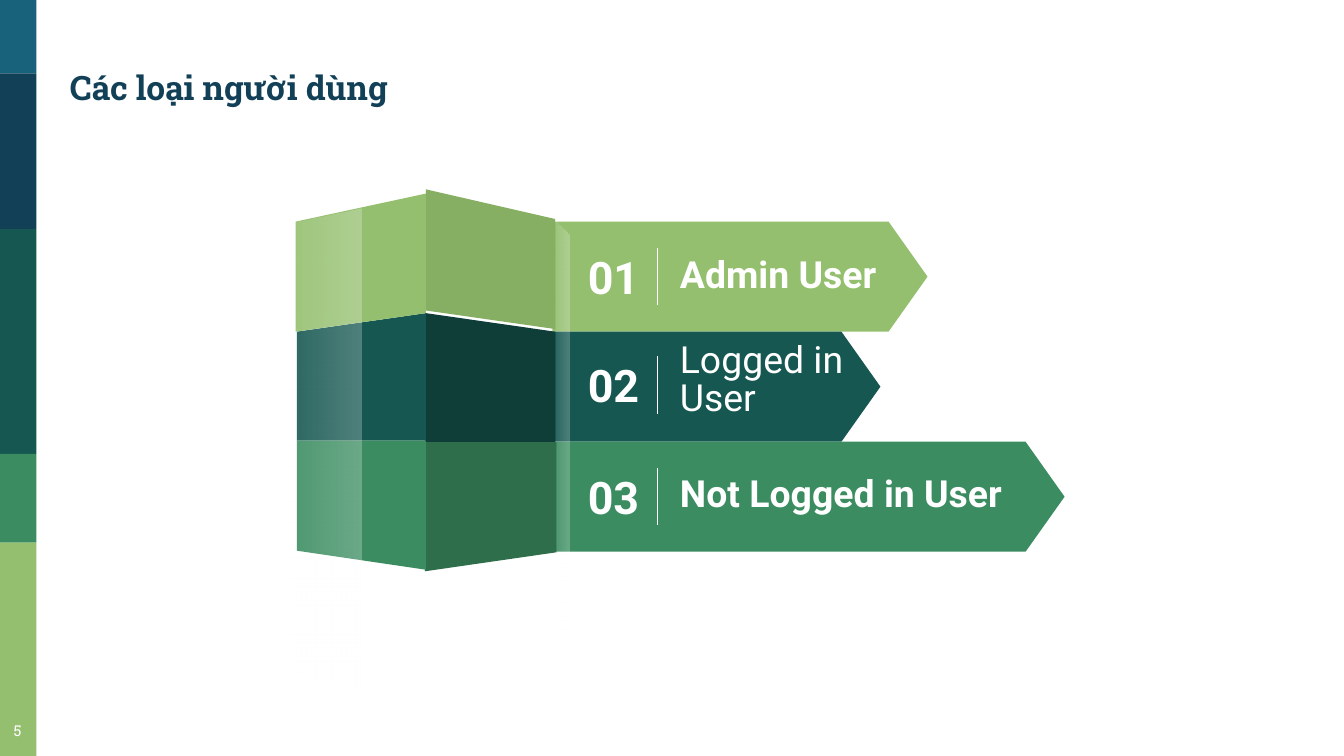
import dataclasses
import pptx
import pptx.dml.color
import pptx.enum.shapes
import pptx.enum.text
import pptx.oxml.ns
import pptx.util
import lxml.etree

Cm = pptx.util.Cm
ALIGN = pptx.enum.text.PP_ALIGN
ANCHOR = pptx.enum.text.MSO_ANCHOR
SHAPES = pptx.enum.shapes.MSO_SHAPE


@dataclasses.dataclass(frozen=True)
class Theme:
    white: str = "FFFFFF"
    blue: str = "18637B"
    navy: str = "124057"
    teal: str = "165751"
    green: str = "3B8D61"
    lime: str = "94BF6E"
    lime_dark: str = "87AF64"
    teal_dark: str = "0F3D38"
    green_dark: str = "2E6E4B"
    head: str = "Roboto Slab"
    body: str = "Roboto"
    title_size: int = 18
    count_size: int = 24
    label_size: int = 20
    page_size: int = 8


def tint(code):
    return pptx.dml.color.RGBColor.from_string(code)


class Deck:
    def __init__(self, theme):
        self.theme = theme
        self.file = pptx.Presentation()
        self.file.slide_width = Cm(25.4)
        self.file.slide_height = Cm(14.29)
        self.slide = self.file.slides.add_slide(self.file.slide_layouts[5])
        self.shapes = self.slide.shapes

    def paint(self, shape, color):
        shape.shadow.inherit = False
        shape.line.fill.background()
        shape.fill.solid()
        shape.fill.fore_color.rgb = tint(color)

    def block(self, kind, left, top, width, height, color):
        shape = self.shapes.add_shape(kind, Cm(left), Cm(top), Cm(width), Cm(height))
        self.paint(shape, color)
        return shape

    def face(self, points, color):
        first, *rest = [(Cm(x), Cm(y)) for x, y in points]
        form = self.shapes.build_freeform(*first, scale=1.0)
        form.add_line_segments(rest, close=True)
        shape = form.convert_to_shape()
        self.paint(shape, color)
        return shape

    def shine(self, points):
        shape = self.face(points, self.theme.white)
        shape.fill.gradient()
        shape.fill.gradient_angle = 0
        for stop, place in zip(shape.fill.gradient_stops, (0, 1)):
            stop.position = place
            stop.color.rgb = tint(self.theme.white)
        # Opacity of each stop, in percent
        nodes = shape.element.spPr.iter(pptx.oxml.ns.qn("a:srgbClr"))
        for node, alpha in zip(nodes, (10, 25)):
            lxml.etree.SubElement(node, pptx.oxml.ns.qn("a:alpha"), val=str(alpha * 1000))

    def rule(self, x, top, length):
        line = self.shapes.add_connector(
            pptx.enum.shapes.MSO_CONNECTOR.STRAIGHT,
            Cm(x), Cm(top), Cm(x), Cm(top + length))
        line.line.color.rgb = tint(self.theme.white)
        line.line.width = pptx.util.Pt(0.75)
        lxml.etree.SubElement(line.element.spPr, pptx.oxml.ns.qn("a:effectLst"))

    def letter(self, shape, words, font, size, color, bold=False,
               align=ALIGN.LEFT, anchor=ANCHOR.MIDDLE, pad=0.13, space=None):
        frame = shape.text_frame
        frame.word_wrap = True
        frame.auto_size = pptx.enum.text.MSO_AUTO_SIZE.NONE
        frame.vertical_anchor = anchor
        frame.margin_left = frame.margin_right = Cm(0.25)
        frame.margin_top = frame.margin_bottom = Cm(pad)
        para = frame.paragraphs[0]
        para.alignment = align
        if space:
            para.line_spacing = space
        run = para.add_run()
        run.text = words
        run.font.name = font
        run.font.size = pptx.util.Pt(size)
        run.font.bold = bold
        run.font.color.rgb = tint(color)

    def text(self, left, top, width, height, words, font, size, **look):
        box = self.shapes.add_textbox(Cm(left), Cm(top), Cm(width), Cm(height))
        self.letter(box, words, font, size, self.theme.white, **look)

    def title(self, left, top, width, height, words):
        box = self.shapes.title
        box.left, box.top = Cm(left), Cm(top)
        box.width, box.height = Cm(width), Cm(height)
        self.letter(box, words, self.theme.head, self.theme.title_size,
                    self.theme.navy, bold=True, anchor=ANCHOR.TOP, pad=0.25)


def main():
    theme = Theme()
    deck = Deck(theme)

    # Side bar: each band runs down to the next
    tops = [0, 1.39, 4.33, 8.58, 10.26, 14.29]
    bands = [theme.blue, theme.navy, theme.teal, theme.green, theme.lime]
    for top, end, color in zip(tops, tops[1:], bands):
        deck.block(SHAPES.RECTANGLE, 0, top, 0.69, end - top, color)

    deck.title(1.07, 1.02, 7.67, 2.46, "Các loại người dùng")

    # Arrow banners
    step = 2.08
    for row, (width, color) in enumerate(
            [(7.09, theme.lime), (6.2, theme.teal), (9.68, theme.green)]):
        arrow = deck.block(SHAPES.PENTAGON, 10.44, 4.19 + row * step, width, step, color)
        arrow.adjustments[0] = 0.354

    # Folded ribbon: right faces, then left faces
    faces = [
        (theme.lime_dark, [(8.05, 3.58), (10.49, 4.14), (10.49, 6.22), (8.05, 5.87)]),
        (theme.teal_dark, [(8.05, 5.92), (10.49, 6.27), (10.49, 8.36), (8.03, 8.36)]),
        (theme.green_dark, [(8.03, 10.8), (10.52, 10.44), (10.52, 8.36), (8.03, 8.36)]),
        (theme.teal, [(8.05, 5.92), (5.61, 6.27), (5.61, 8.33), (8.05, 8.33)]),
        (theme.lime, [(8.05, 3.66), (5.59, 4.19), (5.59, 6.27), (8.05, 5.92)]),
        (theme.green, [(5.61, 8.33), (8.05, 8.33), (8.05, 10.77), (5.61, 10.41)]),
    ]
    for color, points in faces:
        deck.face(points, color)

    # Light on the folds
    deck.shine([(5.51, 12.75), (5.51, 4.22), (6.83, 3.94), (6.83, 13.06)])
    deck.shine([(10.77, 12.17), (10.77, 4.45), (10.52, 4.19), (10.52, 12.47)])

    # Counts, rules and labels: count top, then label top, width, height
    rows = [
        ("Admin User", True, 4.6, 4.62, 5.21, 1.24),
        ("Logged in User", False, 6.65, 5.99, 3.84, 2.44),
        ("Not Logged in User", True, 8.76, 8.59, 7.54, 1.6),
    ]
    for count, (words, bold, top, y, width, height) in enumerate(rows, 1):
        deck.text(10.77, top, 1.65, 1.24, f"{count:02}", theme.body,
                  theme.count_size, bold=True, align=ALIGN.CENTER)
        deck.rule(12.43, top + 0.08, 1.09)
        deck.text(12.6, y, width, height, words, theme.body,
                  theme.label_size, bold=bold, space=0.83)

    # Page number
    deck.text(-0.15, 13.39, 0.97, 0.89, "5", theme.head, theme.page_size,
              align=ALIGN.CENTER, anchor=ANCHOR.TOP, pad=0.25)

    deck.file.save("out.pptx")


if __name__ == "__main__":
    main()
